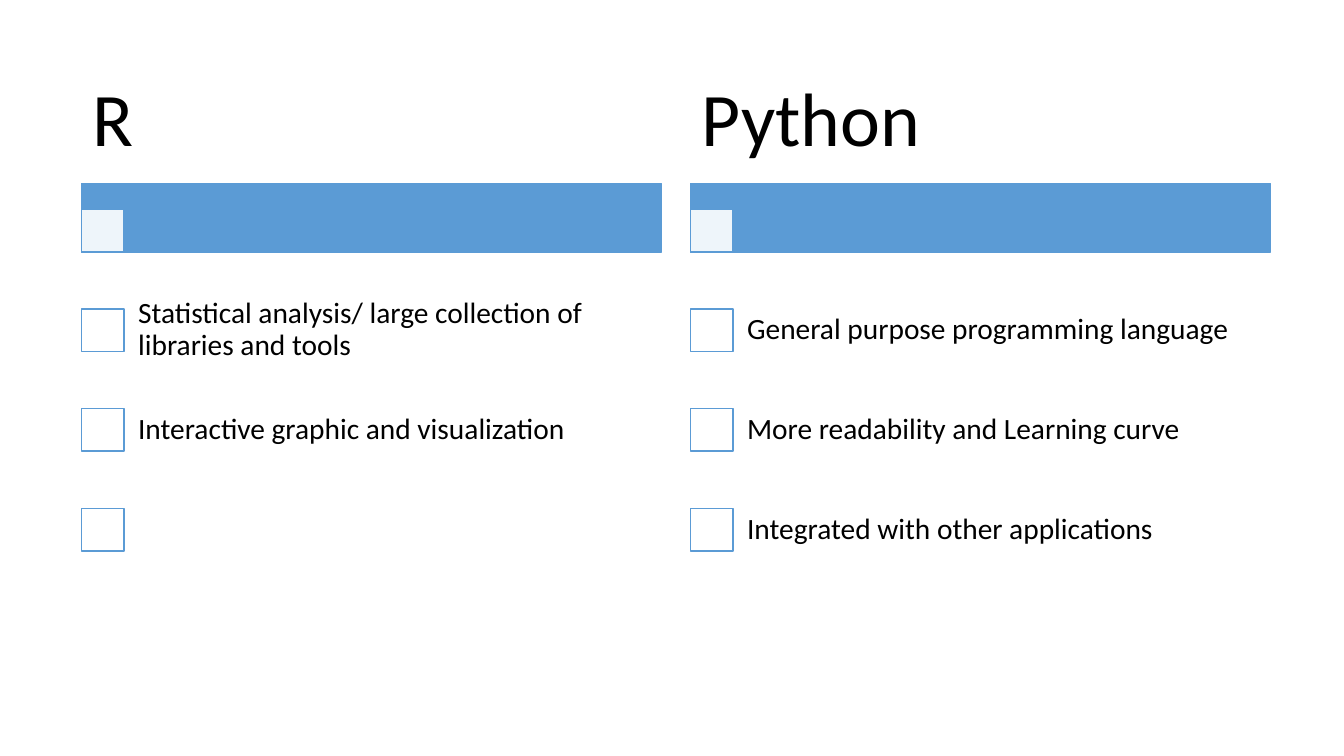
from lxml.etree import SubElement
from pptx import Presentation
from pptx.dml.color import RGBColor
from pptx.enum.shapes import MSO_SHAPE as SHAPE
from pptx.enum.text import MSO_ANCHOR as ANCHOR
from pptx.oxml.ns import qn
from pptx.util import Inches, Pt

BLUE, WHITE, BLACK = "5B9BD5", "FFFFFF", "000000"
LEFT, TOP, COLUMN_W, COLUMN_STEP = 0.81, 0.61, 5.75, 6.04
TITLE_H, BAR_H, BOX = 1.21, 0.68, 0.42
ROWS_TOP, ROW_H, TEXT_INDENT = 2.17, 0.99, 0.4

COLUMNS = [
    ("R", ["Statistical analysis/ large collection of libraries and tools",
           "Interactive graphic and visualization",
           ""]),
    ("Python", ["General purpose programming language",
                "More readability and Learning curve",
                "Integrated with other applications"]),
]


def rgb(value):
    return RGBColor.from_string(value)


def add_rect(slide, x, y, w, h, fill, alpha=None):
    sp = slide.shapes.add_shape(SHAPE.RECTANGLE, Inches(x), Inches(y), Inches(w), Inches(h))
    sp.shadow.inherit = False
    sp.fill.solid()
    sp.fill.fore_color.rgb = rgb(fill)
    sp.line.color.rgb = rgb(BLUE)
    sp.line.width = Pt(1)
    if alpha is not None:
        color = sp.fill._xPr.find(qn("a:solidFill"))[0]
        SubElement(color, qn("a:alpha")).set("val", str(alpha * 1000))
    return sp


def add_text(slide, text, x, y, w, h, size, inset_x, inset_y):
    sp = slide.shapes.add_textbox(Inches(x), Inches(y), Inches(w), Inches(h))
    tf = sp.text_frame
    tf.word_wrap = True
    tf.vertical_anchor = ANCHOR.MIDDLE
    tf.margin_left = tf.margin_right = Inches(inset_x)
    tf.margin_top = tf.margin_bottom = Inches(inset_y)
    p = tf.paragraphs[0]
    p.line_spacing = 0.9
    r = p.add_run()
    r.text = text
    r.font.name = "Calibri"
    r.font.size = Pt(size)
    r.font.color.rgb = rgb(BLACK)
    return sp


def add_checklist(slide, title, items, x, y, w):
    bar_y = y + TITLE_H
    add_rect(slide, x, bar_y, w, BAR_H, BLUE)
    add_rect(slide, x, bar_y + BAR_H - BOX, BOX, BOX, WHITE, alpha=90)
    add_text(slide, title, x, y, w, TITLE_H, size=54, inset_x=0.11, inset_y=0.07)
    for i, item in enumerate(items):
        row_y = y + ROWS_TOP + i * ROW_H
        add_rect(slide, x, row_y + (ROW_H - BOX) / 2, BOX, BOX, WHITE)
        if item:
            add_text(slide, item, x + TEXT_INDENT, row_y, w - TEXT_INDENT, ROW_H,
                     size=21, inset_x=0.16, inset_y=0.16)


def main():
    prs = Presentation()
    prs.slide_width, prs.slide_height = Inches(13.33), Inches(7.5)
    slide = prs.slides.add_slide(prs.slide_layouts[6])
    for i, (title, items) in enumerate(COLUMNS):
        add_checklist(slide, title, items, LEFT + i * COLUMN_STEP, TOP, COLUMN_W)
    prs.save("out.pptx")


if __name__ == "__main__":
    main()
